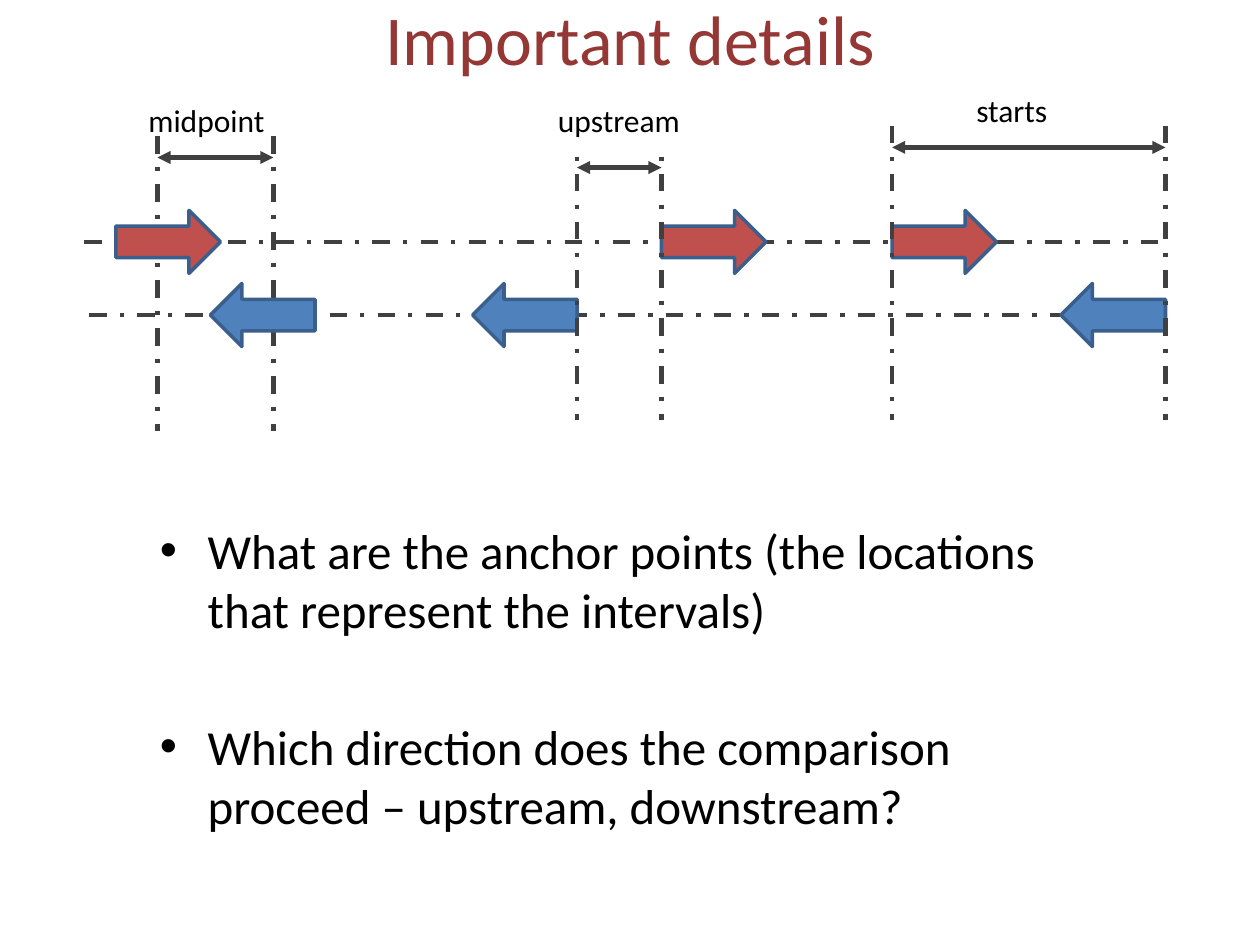
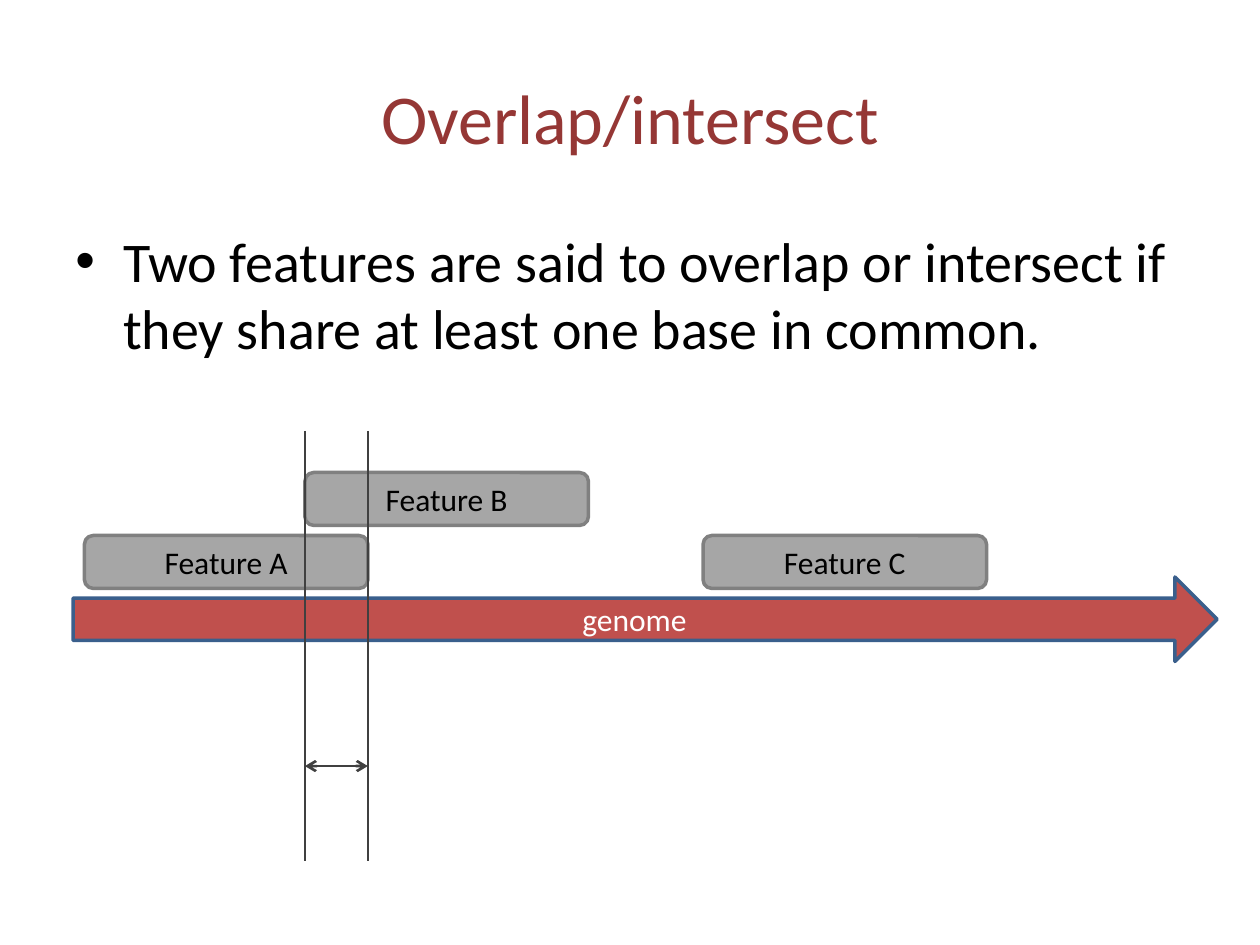
from pptx import Presentation
from pptx.dml.color import RGBColor
from pptx.enum import dml, shapes, text
from pptx.oxml.ns import qn
from pptx.util import Inches, Pt
from lxml import etree

MAROON = RGBColor(0x95, 0x37, 0x35)
RED = RGBColor(0xC0, 0x50, 0x4D)
BLUE = RGBColor(0x4F, 0x81, 0xBD)
NAVY = RGBColor(0x3A, 0x5F, 0x8C)
DARK = RGBColor(0x40, 0x40, 0x40)
GREY = RGBColor(0x80, 0x80, 0x80)
SILVER = RGBColor(0xA6, 0xA6, 0xA6)
BLACK = RGBColor(0, 0, 0)
WHITE = RGBColor(255, 255, 255)
FONT = "Calibri"
ARROW = shapes.MSO_SHAPE.RIGHT_ARROW
ROUND = shapes.MSO_SHAPE.ROUNDED_RECTANGLE


def link(slide, x1, y1, x2, y2, width, dash=False, head=None):
    """Draw a line, with the given arrowhead at both ends if any."""
    line = slide.shapes.add_connector(shapes.MSO_CONNECTOR.STRAIGHT,
                                      Inches(x1), Inches(y1), Inches(x2), Inches(y2))
    line.line.color.rgb = DARK
    line.line.width = Pt(width)
    if dash:
        line.line.dash_style = dml.MSO_LINE.DASH_DOT
    if head:
        ln = line.line._get_or_add_ln()
        for end in ("a:headEnd", "a:tailEnd"):
            etree.SubElement(ln, qn(end), type=head)
    etree.SubElement(line._element.spPr, qn("a:effectLst"))


def block(slide, kind, x, y, w, h, fill, edge, label="", color=BLACK):
    """Draw a filled, outlined shape with a centred label."""
    shape = slide.shapes.add_shape(kind, Inches(x), Inches(y), Inches(w), Inches(h))
    shape.shadow.inherit = False
    shape.fill.solid()
    shape.fill.fore_color.rgb = fill
    shape.line.color.rgb = edge
    shape.line.width = Pt(2)
    if label:
        para = shape.text_frame.paragraphs[0]
        para.text = label
        para.alignment = text.PP_ALIGN.CENTER
        para.font.name, para.font.size = FONT, Pt(18)
        para.font.color.rgb = color
    return shape


prs = Presentation()
prs.slide_width, prs.slide_height = Inches(10), Inches(7.5)

# Titles and bullets: title, its top, body box, text size, bullets
pages = [
    ("Important details", -0.33, (1.17, 4.08, 7.58, 3), 28,
     ["What are the anchor points (the locations that represent the intervals)",
      "Which direction does the comparison proceed – upstream, downstream?"]),
    ("Overlap/intersect", 0.3, (0.5, 1.75, 9, 4.95), 32,
     ["Two features are said to overlap or intersect if they share "
      "at least one base in common."]),
]
for name, top, area, size, points in pages:
    slide = prs.slides.add_slide(prs.slide_layouts[5])
    title = slide.shapes.title
    title.left, title.top = Inches(0.5), Inches(top)
    title.width, title.height = Inches(9), Inches(1.25)
    title.text_frame.text = name
    title.text_frame.vertical_anchor = text.MSO_ANCHOR.MIDDLE
    para = title.text_frame.paragraphs[0]
    para.alignment = text.PP_ALIGN.CENTER
    para.font.name, para.font.size = FONT, Pt(40)
    para.font.color.rgb = MAROON

    frame = slide.shapes.add_textbox(*map(Inches, area)).text_frame
    frame.word_wrap = True
    for i, point in enumerate(points):
        para = frame.add_paragraph() if i else frame.paragraphs[0]
        para.text = point
        if i:
            para.space_before = Pt(45)
        props = para._p.get_or_add_pPr()
        props.set("marL", str(Inches(0.38)))
        props.set("indent", str(-Inches(0.38)))
        etree.SubElement(props, qn("a:buFont"), typeface="Arial")
        etree.SubElement(props, qn("a:buChar"), char="•")
        para.font.name, para.font.size = FONT, Pt(size)
        para.font.color.rgb = BLACK

# Slide 1: three ways to measure the distance between intervals
details, overlap = prs.slides
for x in (1.25, 2.17):
    link(details, x, 1.08, x, 3.42, 2.5, dash=True)
for x, y in ((0.71, 2.5), (0.67, 1.92)):
    link(details, x, y, x + 8.58, y, 2.5, dash=True)
for red, blue in ((0.92, 1.67), (5.25, 3.75), (7.08, 8.42)):
    block(details, ARROW, red, 1.67, 0.83, 0.5, RED, NAVY)
    block(details, ARROW, blue, 2.25, 0.83, 0.5, BLUE, NAVY).rotation = 180
for x in (4.58, 5.25, 7.08, 9.25):
    link(details, x, 1, x, 3.33, 2.5, dash=True)
for start, end, y in ((1.25, 2.17, 1.25), (4.58, 5.25, 1.33), (7.08, 9.25, 1.17)):
    link(details, start, y, end, y, 2.5, head="triangle")
for word, x, y, w in (("midpoint", 1.08, 0.75, 1.13),
                      ("starts", 7.65, 0.67, 0.77),
                      ("upstream", 4.33, 0.75, 1.18)):
    box = details.shapes.add_textbox(Inches(x), Inches(y), Inches(w), Inches(0.4))
    if word == "upstream":
        box.fill.solid()
        box.fill.fore_color.rgb = WHITE
    box.text_frame.text = word
    box.text_frame.word_wrap = False
    box.text_frame.auto_size = text.MSO_AUTO_SIZE.SHAPE_TO_FIT_TEXT
    font = box.text_frame.paragraphs[0].font
    font.name, font.size = FONT, Pt(18)
    font.color.rgb = BLACK

# Slide 2: features along the genome
for letter, x, y in (("A", 0.67, 4.25), ("B", 2.42, 3.75), ("C", 5.58, 4.25)):
    block(overlap, ROUND, x, y, 2.25, 0.42, SILVER, GREY, f"Feature {letter}")
block(overlap, ARROW, 0.58, 4.58, 9.08, 0.67, RED, NAVY, "genome", WHITE)
for x in (2.42, 2.92):
    link(overlap, x, 3.42, x, 6.83, 1.5)
link(overlap, 2.42, 6.08, 2.92, 6.08, 1.5, head="arrow")

prs.save("out.pptx")
